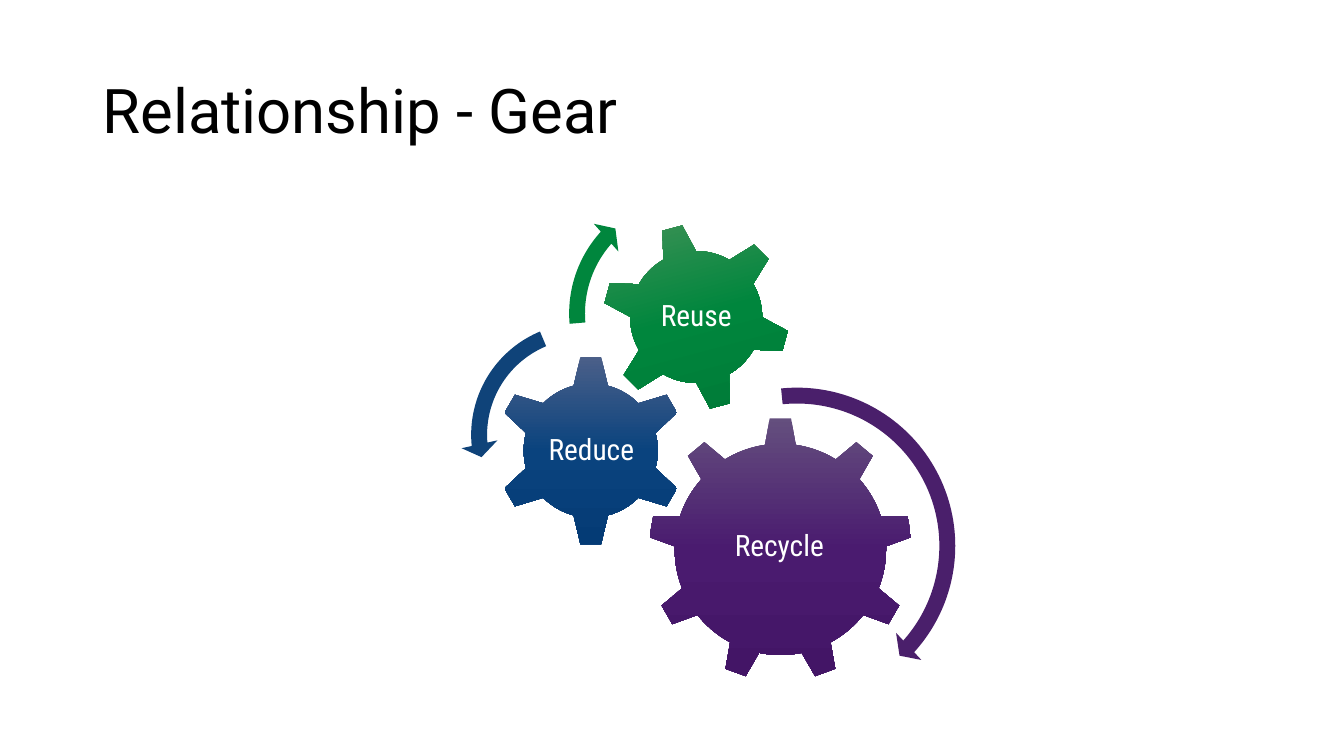
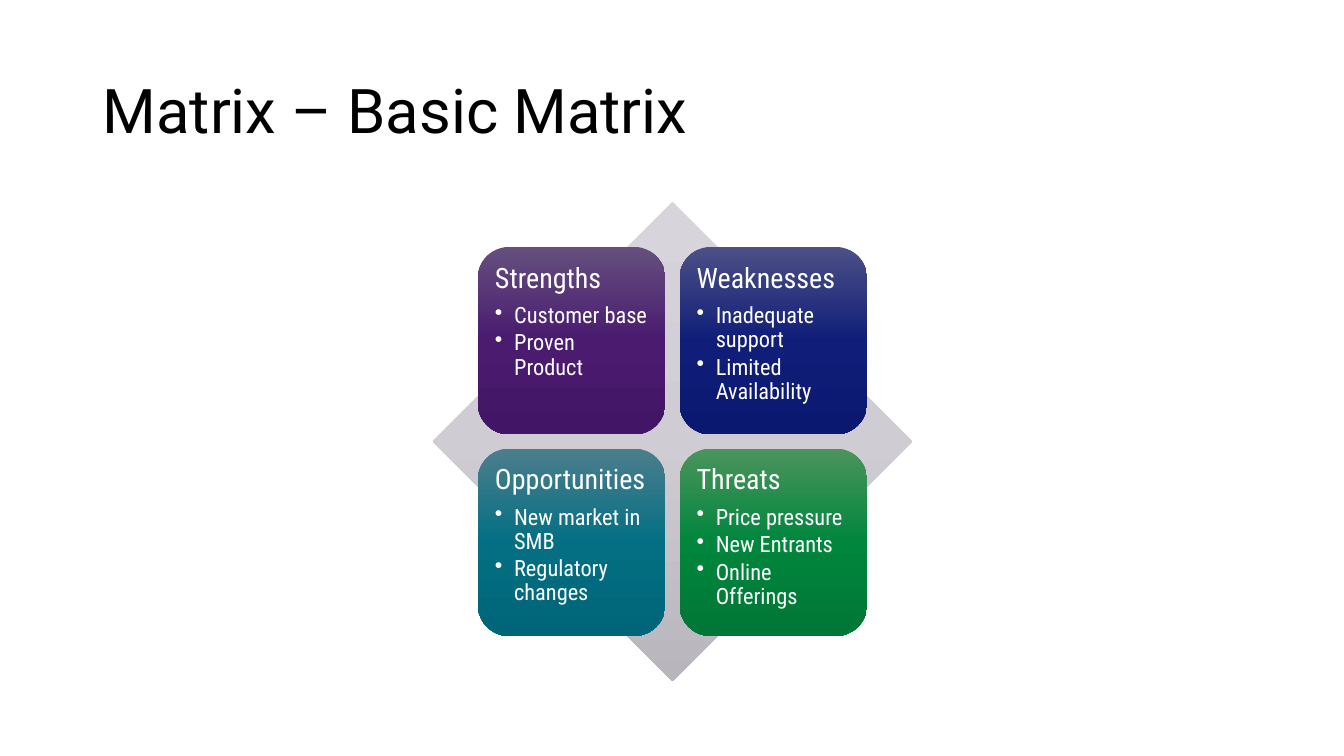
from copy import deepcopy

from lxml import etree
from pptx import Presentation
from pptx.dml.color import RGBColor
from pptx.enum.shapes import MSO_SHAPE
from pptx.enum.text import MSO_ANCHOR, PP_ALIGN
from pptx.oxml.ns import qn
from pptx.util import Inches, Pt

GEAR_6 = MSO_SHAPE.GEAR_6
GEAR_9 = MSO_SHAPE.GEAR_9
ARROW = MSO_SHAPE.CIRCULAR_ARROW
LEFT_ARROW = MSO_SHAPE.LEFT_CIRCULAR_ARROW
DIAMOND = MSO_SHAPE.DIAMOND
ROUNDED = MSO_SHAPE.ROUNDED_RECTANGLE
TOP = MSO_ANCHOR.TOP
MIDDLE = MSO_ANCHOR.MIDDLE
LEFT = PP_ALIGN.LEFT
CENTER = PP_ALIGN.CENTER

TITLE_FONT = "Roboto"
BODY_FONT = "Roboto Condensed"
BLACK = "000000"
WHITE = "FFFFFF"
PURPLE = ("644F7E", "4A1B6F", "431566")
BLUE = ("4C6089", "0A437E", "043B75")
NAVY = ("4C5086", "101E79", "0A1870")
TEAL = ("4B7E8D", "046F83", "006578")
GREEN = ("4B945C", "00863D", "007736")
GREY = ("D7D4DB", "D0CCD4", "B8B5BD")

GEARS = [
    ("Recycle", GEAR_9, PURPLE, (6.43, 4.14, 2.62), 0, (6.95, 4.75, 1.56, 1.35)),
    ("Reduce", GEAR_6, BLUE, (4.91, 3.52, 1.9), 0, (5.39, 4, 0.95, 0.94)),
    ("Reuse", GEAR_6, GREEN, (5.97, 2.21, 1.87), 345, (6.38, 2.62, 1.05, 1.05)),
]
ARROWS = [
    (ARROW, "4A1F6B", (6.23, 3.74, 3.35), (0.047, 2.99, 25.198, 158.534, 0.055)),
    (LEFT_ARROW, "0F4379", (4.57, 3.1, 2.43), (0.065, 4.3, 104.891, 148.378, 0.075)),
    (ARROW, "00863D", (5.54, 1.8, 2.62), (0.06, 3.941, 133.138, 105.082, 0.07)),
]
QUADRANTS = [
    ("Strengths", PURPLE, ["Customer base", "Proven Product"]),
    ("Weaknesses", NAVY, ["Inadequate support", "Limited Availability"]),
    ("Opportunities", TEAL, ["New market in SMB", "Regulatory changes"]),
    ("Threats", GREEN, ["Price pressure", "New Entrants", "Online Offerings"]),
]


def rgb(value):
    """Return the colour for a hex string."""
    return RGBColor.from_string(value)


def fill_gradient(sp, colors):
    """Fill a shape from top to bottom with evenly spaced colours."""
    sp.fill.gradient()
    sp.fill.gradient_angle = 270
    stops = sp._element.spPr.find(qn("a:gradFill")).find(qn("a:gsLst"))
    while len(stops) < len(colors):
        stops.append(deepcopy(stops[-1]))
    for i, (stop, color) in enumerate(zip(sp.fill.gradient_stops, colors)):
        stop.position = i / (len(colors) - 1)
        stop.color.rgb = rgb(color)


def add_square(shapes, kind, left, top, size):
    """Add a preset shape of equal sides without line or shadow."""
    sp = shapes.add_shape(kind, Inches(left), Inches(top), Inches(size), Inches(size))
    sp.shadow.inherit = False
    sp.line.fill.background()
    return sp


def add_frame(shapes, box, anchor, inset):
    """Add a wrapping text box and return its text frame."""
    tf = shapes.add_textbox(*map(Inches, box)).text_frame
    tf.word_wrap = True
    tf.vertical_anchor = anchor
    tf.margin_left = tf.margin_right = Inches(inset[0])
    tf.margin_top = tf.margin_bottom = Inches(inset[1])
    return tf


def write(p, text, size, font=BODY_FONT, color=WHITE, align=LEFT, after=0):
    """Write one styled line of text into a paragraph."""
    p.text = text
    p.alignment = align
    p.line_spacing = 0.9
    p.space_after = Pt(after)
    p.font.size = Pt(size)
    p.font.name = font
    p.font.color.rgb = rgb(color)


def set_bullet(p, indent):
    """Give a paragraph a round bullet with a hanging indent."""
    p.level = 1
    props = p._p.get_or_add_pPr()
    props.set("marL", str(Inches(indent)))
    props.set("indent", str(-Inches(indent)))
    bullet = etree.Element(qn("a:buChar"), char="•")
    props.find(qn("a:defRPr")).addprevious(bullet)


def add_titled_slide(prs, title):
    """Add a blank slide with the shared title style."""
    s = prs.slides.add_slide(prs.slide_layouts[6])
    tf = add_frame(s.shapes, (0.92, 0.4, 11.5, 1.45), MIDDLE, (0.1, 0.05))
    write(tf.paragraphs[0], title, 44, TITLE_FONT, BLACK)
    return s


def add_gear(shapes, label, kind, colors, place, rotation, label_box):
    """Add a gear with an upright label."""
    sp = add_square(shapes, kind, *place)
    sp.rotation = rotation
    fill_gradient(sp, colors)
    tf = add_frame(shapes, label_box, MIDDLE, (0.03, 0.03))
    write(tf.paragraphs[0], label, 21, align=CENTER)


def add_turn_arrow(shapes, kind, color, place, adjustments):
    """Add a curved arrow that shows how a gear turns."""
    sp = add_square(shapes, kind, *place)
    sp.fill.solid()
    sp.fill.fore_color.rgb = rgb(color)
    for i, value in enumerate(adjustments):
        sp.adjustments[i] = value


def add_quadrant(shapes, left, top, heading, colors, points):
    """Add a rounded tile with a heading and bullet points."""
    fill_gradient(add_square(shapes, ROUNDED, left, top, 1.86), colors)
    tf = add_frame(shapes, (left + 0.09, top + 0.09, 1.67, 1.67), TOP, (0.08, 0.08))
    write(tf.paragraphs[0], heading, 20, after=7)
    for point in points:
        p = tf.add_paragraph()
        write(p, point, 16, after=2.4)
        set_bullet(p, 0.19)


def build_gears(prs):
    """Build the slide of interlocking gears."""
    s = add_titled_slide(prs, "Relationship - Gear")
    shapes = s.shapes.add_group_shape().shapes
    for gear in GEARS:
        add_gear(shapes, *gear)
    for arrow in ARROWS:
        add_turn_arrow(shapes, *arrow)


def build_matrix(prs):
    """Build the slide with the two by two matrix."""
    s = add_titled_slide(prs, "Matrix – Basic Matrix")
    shapes = s.shapes.add_group_shape().shapes
    fill_gradient(add_square(shapes, DIAMOND, 4.29, 2, 4.76), GREY)
    for i, quadrant in enumerate(QUADRANTS):
        row, col = divmod(i, 2)
        add_quadrant(shapes, 4.74 + 2 * col, 2.45 + 2 * row, *quadrant)


def main():
    """Build and save the presentation."""
    prs = Presentation()
    prs.slide_width = Inches(13.33)
    prs.slide_height = Inches(7.5)
    build_gears(prs)
    build_matrix(prs)
    prs.save("out.pptx")


main()
